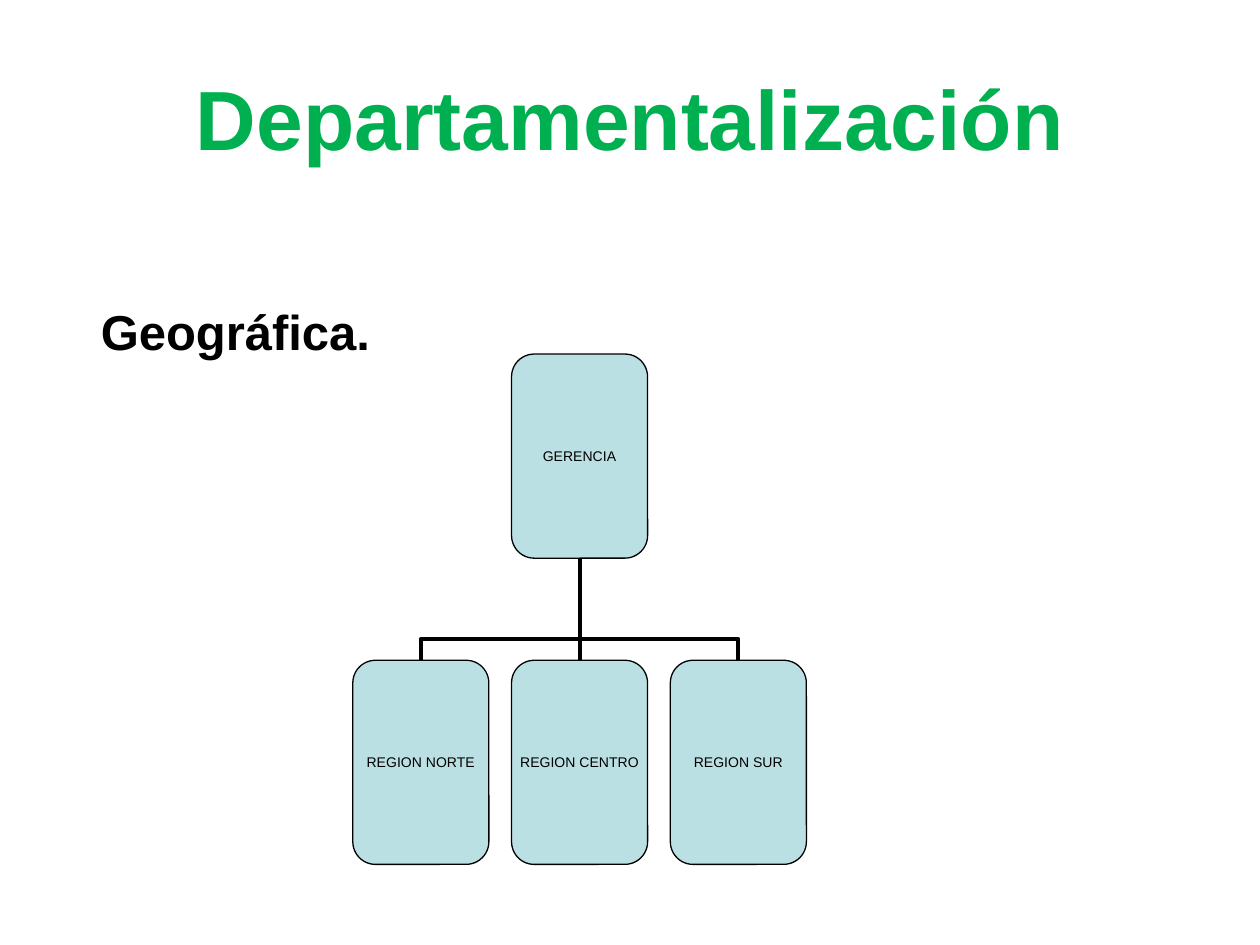
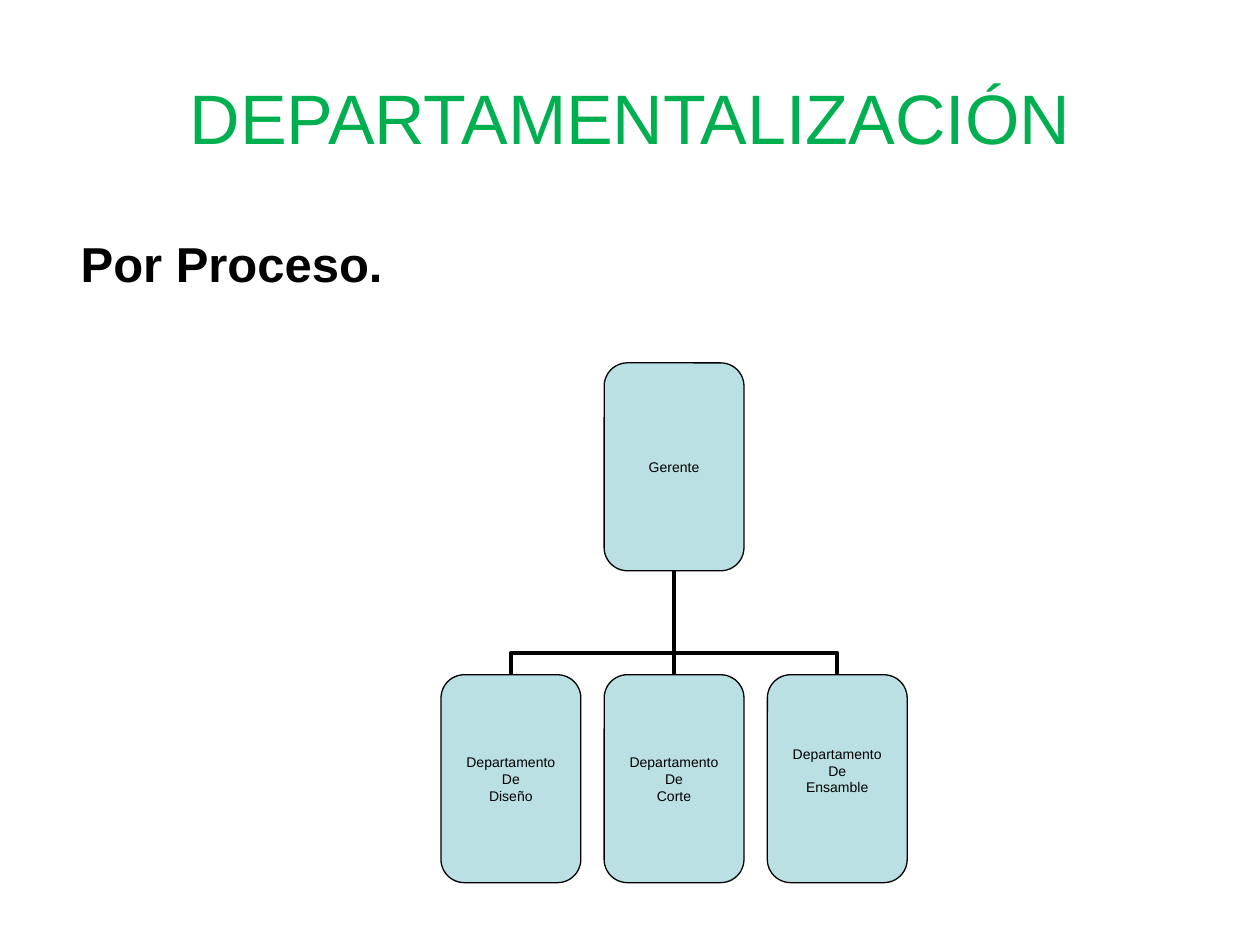
from dataclasses import dataclass

import lxml.etree
import pptx
import pptx.dml.color
import pptx.enum.shapes
import pptx.enum.text
import pptx.oxml.ns
import pptx.presentation
import pptx.shapes.autoshape
import pptx.shapes.connector
import pptx.slide
import pptx.util
from pptx.util import Inches

GREEN = pptx.dml.color.RGBColor(0x00, 0xB0, 0x50)
PALE_TEAL = pptx.dml.color.RGBColor(0xBB, 0xE0, 0xE3)
BLACK = pptx.dml.color.RGBColor(0x00, 0x00, 0x00)
FONT = "Arial"
TITLE_ONLY_LAYOUT = 5
COLUMN_PITCH = 7 / 6
LEVEL_PITCH = 1.5
ELBOW_ADJUSTMENT = 20900
TOP, BOTTOM = 0, 2


@dataclass(frozen=True)
class Unit:
    label: str
    bottom_inset: float = 0


@dataclass(frozen=True)
class Chart:
    center: float
    top: float
    box_width: float
    box_height: float
    manager: Unit
    departments: tuple[Unit, ...]


@dataclass(frozen=True)
class Page:
    title: str
    title_size: int
    title_bold: bool
    subtitle: str
    subtitle_left_inset: float
    subtitle_top_inset: float
    chart: Chart


PAGES = (
    Page(
        "Departamentalización", 48, True, "Geográfica.", 0.3, 0.64,
        Chart(4.6, 2.81, 1.08, 1.62, Unit("GERENCIA"),
              (Unit("REGION NORTE"), Unit("REGION CENTRO"), Unit("REGION SUR"))),
    ),
    Page(
        "DEPARTAMENTALIZACIÓN", 40, False, "Por Proceso.", 0.14, 0.1,
        Chart(5.35, 2.88, 1.11, 1.65, Unit("Gerente"),
              (Unit("Departamento\nDe\nDiseño"),
               Unit("Departamento\nDe\nCorte"),
               Unit("Departamento\nDe\nEnsamble", 0.26 / 2))),
    ),
)


def format_text(text_frame, size: float, color: pptx.dml.color.RGBColor,
                bold: bool, alignment: pptx.enum.text.PP_ALIGN) -> None:
    for paragraph in text_frame.paragraphs:
        paragraph.alignment = alignment
        paragraph.font.name = FONT
        paragraph.font.size = pptx.util.Pt(size)
        paragraph.font.bold = bold
        paragraph.font.color.rgb = color


def add_title(slide: pptx.slide.Slide, page: Page) -> None:
    title = slide.shapes.title
    title.left, title.top = Inches(0.5), Inches(0.3)
    title.width, title.height = Inches(9), Inches(1.25)
    title.text_frame.text = page.title
    title.text_frame.vertical_anchor = pptx.enum.text.MSO_ANCHOR.MIDDLE
    format_text(title.text_frame, page.title_size, GREEN, page.title_bold,
                pptx.enum.text.PP_ALIGN.CENTER)


def add_subtitle(slide: pptx.slide.Slide, page: Page) -> None:
    box = slide.shapes.add_textbox(Inches(0.5), Inches(1.75), Inches(4.42), Inches(4.95))
    text_frame = box.text_frame
    text_frame.word_wrap = True
    text_frame.margin_left = Inches(page.subtitle_left_inset)
    text_frame.margin_top = Inches(page.subtitle_top_inset)
    text_frame.text = page.subtitle
    format_text(text_frame, 28, BLACK, True, pptx.enum.text.PP_ALIGN.LEFT)


def add_unit(slide: pptx.slide.Slide, chart: Chart, unit: Unit,
             center: float, top: float) -> pptx.shapes.autoshape.Shape:
    shape = slide.shapes.add_shape(
        pptx.enum.shapes.MSO_SHAPE.ROUNDED_RECTANGLE,
        Inches(center - chart.box_width / 2), Inches(top),
        Inches(chart.box_width), Inches(chart.box_height))
    shape.shadow.inherit = False
    shape.fill.solid()
    shape.fill.fore_color.rgb = PALE_TEAL
    shape.line.color.rgb = BLACK
    shape.line.width = pptx.util.Pt(0.75)
    text_frame = shape.text_frame
    text_frame.word_wrap = False
    text_frame.vertical_anchor = pptx.enum.text.MSO_ANCHOR.MIDDLE
    text_frame.margin_left = text_frame.margin_right = text_frame.margin_top = 0
    text_frame.margin_bottom = Inches(unit.bottom_inset)
    text_frame.text = unit.label
    format_text(text_frame, 8, BLACK, False, pptx.enum.text.PP_ALIGN.CENTER)
    return shape


def add_line(slide: pptx.slide.Slide, kind: pptx.enum.shapes.MSO_CONNECTOR,
             begin_x: float, begin_y: float, end_x: float,
             end_y: float) -> pptx.shapes.connector.Connector:
    connector = slide.shapes.add_connector(
        kind, Inches(begin_x), Inches(begin_y), Inches(end_x), Inches(end_y))
    connector.line.color.rgb = BLACK
    connector.line.width = pptx.util.Pt(2.25)
    lxml.etree.SubElement(connector._element.spPr, pptx.oxml.ns.qn("a:effectLst"))
    return connector


def add_elbow(slide: pptx.slide.Slide, child_x: float, child_y: float,
              parent_x: float, parent_y: float) -> None:
    middle_x, middle_y = (child_x + parent_x) / 2, (child_y + parent_y) / 2
    half_run = abs(child_x - parent_x) / 2
    side = 1 if child_x > parent_x else -1
    half_rise = side * (child_y - parent_y) / 2
    connector = add_line(slide, pptx.enum.shapes.MSO_CONNECTOR.ELBOW,
                         middle_x - half_rise, middle_y + half_run,
                         middle_x + half_rise, middle_y - half_run)
    properties = connector._element.spPr
    rotation = 270 if side > 0 else 90
    properties.find(pptx.oxml.ns.qn("a:xfrm")).set("rot", str(rotation * 60000))
    adjustments = properties.find(".//" + pptx.oxml.ns.qn("a:avLst"))
    lxml.etree.SubElement(adjustments, pptx.oxml.ns.qn("a:gd"),
                          name="adj1", fmla=f"val {ELBOW_ADJUSTMENT}")


def add_chart(slide: pptx.slide.Slide, chart: Chart) -> None:
    manager = add_unit(slide, chart, chart.manager, chart.center, chart.top)
    manager_bottom = chart.top + chart.box_height
    department_top = chart.top + chart.box_height * LEVEL_PITCH
    middle = len(chart.departments) // 2
    for index, unit in enumerate(chart.departments):
        center = chart.center + (index - middle) * chart.box_width * COLUMN_PITCH
        department = add_unit(slide, chart, unit, center, department_top)
        if index == middle:
            connector = add_line(slide, pptx.enum.shapes.MSO_CONNECTOR.STRAIGHT,
                                 center, department_top, chart.center, manager_bottom)
            connector.begin_connect(department, TOP)
            connector.end_connect(manager, BOTTOM)
        else:
            add_elbow(slide, center, department_top, chart.center, manager_bottom)


def add_page(presentation: pptx.presentation.Presentation, page: Page) -> None:
    slide = presentation.slides.add_slide(presentation.slide_layouts[TITLE_ONLY_LAYOUT])
    add_title(slide, page)
    add_subtitle(slide, page)
    add_chart(slide, page.chart)


def main() -> None:
    presentation = pptx.Presentation()
    presentation.slide_width = Inches(10)
    presentation.slide_height = Inches(7.5)
    for page in PAGES:
        add_page(presentation, page)
    presentation.save("out.pptx")


if __name__ == "__main__":
    main()
